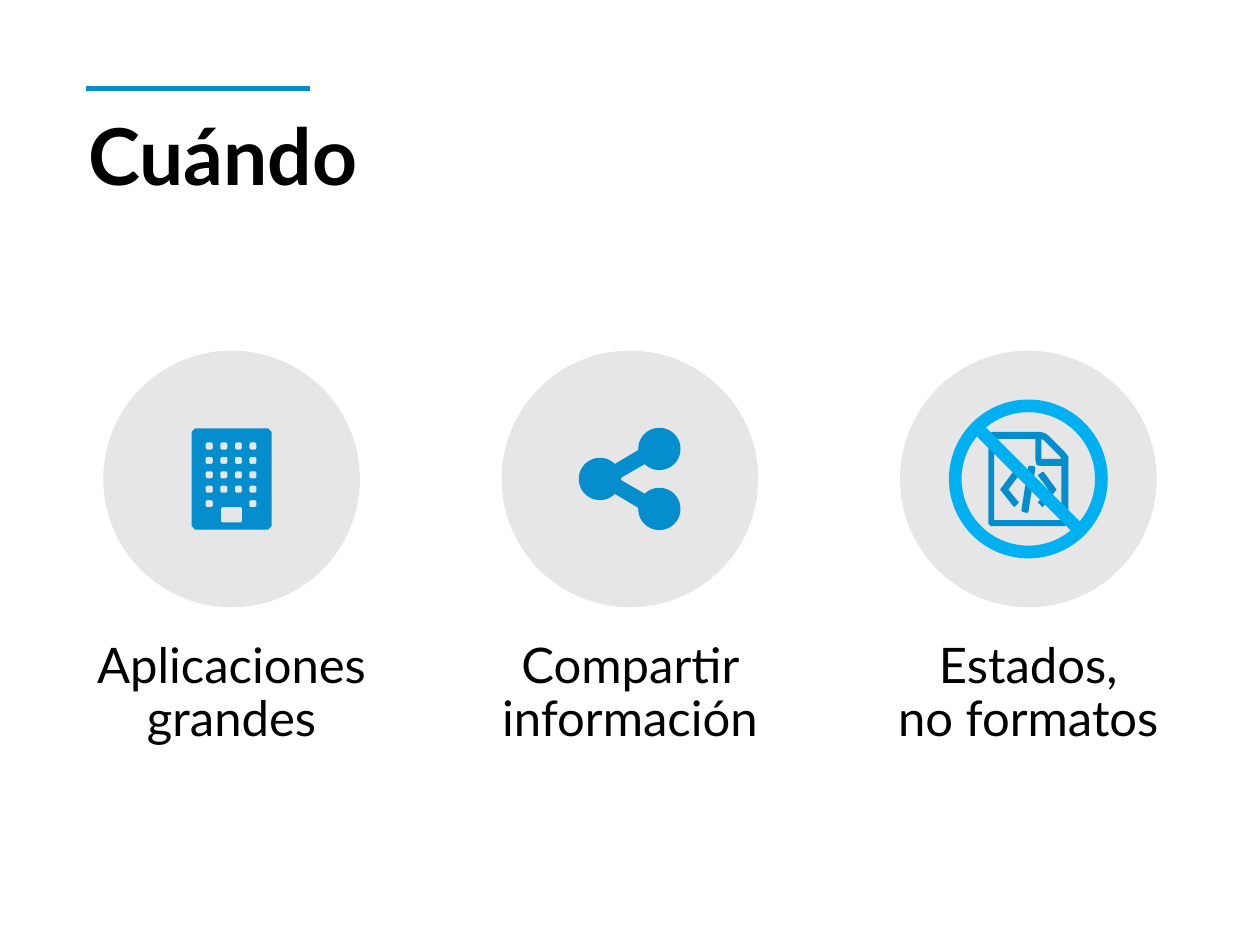
from math import cos, radians, sin

from pptx import Presentation
from pptx.dml.color import RGBColor
from pptx.enum.shapes import MSO_CONNECTOR, MSO_SHAPE
from pptx.enum.text import MSO_ANCHOR, PP_ALIGN
from pptx.oxml.ns import qn
from pptx.util import Cm, Pt

ELLIPSE, NO_SIGN = MSO_SHAPE.OVAL, MSO_SHAPE.NO_SYMBOL
STRAIGHT = MSO_CONNECTOR.STRAIGHT
LEFT, CENTER, TOP = PP_ALIGN.LEFT, PP_ALIGN.CENTER, MSO_ANCHOR.TOP

COLORS = {"blue": "058ECD", "sky": "00B0F0", "disc": "E7E6E6", "text": "000000"}
FONT = "Lato"

TITLE = "Cuándo"
TITLE_STYLE = {"size": Pt(48), "bold": True}
LABEL_STYLE = {"size": Pt(30), "bold": False}
# icon, label lines, label width in cm
REASONS = [
    ("building", ["Aplicaciones grandes"], 6.8),
    ("share", ["Compartir información"], 7.77),
    ("file", ["Estados,", "no formatos"], 6.8),
]

# Disc grid in cm
FIRST_X, PITCH, CENTER_Y = 5.0, 8.6, 10.34
DISC, SIGN = 5.54, 3.43
LABEL_TOP, LABEL_HEIGHT = 13.84, 2.79

# Icon outlines are in units of 1/40 cm or so, measured from the disc centre
ICON_UNIT = Cm(2.54) / 100
PRECISION = 100


def block(x, y, w, h, cut):
    """Rectangle with its corners cut off."""
    r, b = x + w, y + h
    return [(x + cut, y), (r - cut, y), (r, y + cut), (r, b - cut),
            (r - cut, b), (x + cut, b), (x, b - cut), (x, y + cut)]


def arc(cx, cy, radius, start, stop, steps=32):
    angles = [radians(start + (stop - start) * i / steps) for i in range(steps + 1)]
    return [(cx + radius * cos(a), cy + radius * sin(a)) for a in angles]


def flip_x(points):
    return [(-x, y) for x, y in points]


def building():
    windows = [block(-22 + 12.4 * col, -31 + 12.25 * row, 6, 6, 1)
               for row in range(5) for col in range(4)
               if row < 4 or col in (0, 3)]
    return [block(-34, -43, 68, 86, 3), *windows, block(-9, 24, 18, 13, 1)]


def share():
    """Three dots joined by two bars, as one closed outline."""
    upper = arc(25, -25.5, 18, 134, -183)
    hub = arc(-25.5, 0, 18, -45, -315)
    lower = [(x, -y) for x, y in reversed(upper)]
    return [upper + hub + lower + [(-7.5, 1), (-7.5, -1)]]


def file():
    page = [(-30, -40), (10, -40), (14, -39), (17, -37), (31, -23), (34, -19),
            (34, 36), (33, 39), (31, 40), (-32, 40), (-34, 38), (-34, -36),
            (-33, -39)]
    inside = [(6, -34), (6, -16), (7, -12), (10, -11), (28, -11), (28, 35),
              (-29, 35), (-29, -34)]
    fold = [(11, -34), (13, -33), (27, -19), (28, -17), (11, -17)]
    chevron = [(-12, -6), (-13, -6), (-24, 9), (-13, 23), (-12, 24), (-9, 21),
               (-8, 20), (-17, 9), (-8, -3), (-9, -4)]
    slash = [(1, -11), (0, -11), (-6, 27), (-5, 28), (-1, 29), (0, 28),
             (6, -9), (5, -11)]
    return [page, inside, fold, chevron, flip_x(chevron), slash]


ICONS = {"building": building, "share": share, "file": file}


def rgb(name):
    return RGBColor.from_string(COLORS[name])


def paint(shape, color):
    shape.shadow.inherit = False
    shape.fill.solid()
    shape.fill.fore_color.rgb = rgb(color)
    shape.line.fill.background()


def add_centered(s, kind, cx, size, color):
    shape = s.shapes.add_shape(kind, Cm(cx - size / 2), Cm(CENTER_Y - size / 2),
                               Cm(size), Cm(size))
    paint(shape, color)
    return shape


def add_icon(s, contours, cx):
    fine = [[(x * PRECISION, y * PRECISION) for x, y in c] for c in contours]
    builder = s.shapes.build_freeform(*fine[0][0], scale=ICON_UNIT / PRECISION)
    for i, points in enumerate(fine):
        if i:
            builder.move_to(*points[0])
        builder.add_line_segments(points[1:], close=True)
    paint(builder.convert_to_shape(Cm(cx), Cm(CENTER_Y)), "blue")


def add_text(s, lines, box, style, align):
    tf = s.shapes.add_textbox(*map(Cm, box)).text_frame
    frame = {"word_wrap": True, "vertical_anchor": TOP, "margin_left": 0,
             "margin_right": 0, "margin_top": 0, "margin_bottom": 0}
    for name, value in frame.items():
        setattr(tf, name, value)
    p = tf.paragraphs[0]
    p.alignment, p.line_spacing = align, 0.9
    for i, line in enumerate(lines):
        if i:
            p.add_line_break()
        r = p.add_run()
        r.text = line
        r.font.name = FONT
        r.font.color.rgb = rgb("text")
        for name, value in style.items():
            setattr(r.font, name, value)


def add_rule(s, x1, x2, y):
    rule = s.shapes.add_connector(STRAIGHT, Cm(x1), Cm(y), Cm(x2), Cm(y))
    rule.line.color.rgb = rgb("blue")
    rule.line.width = Pt(3)
    props = rule._element.spPr
    props.append(props.makeelement(qn("a:effectLst"), {}))


def main():
    prs = Presentation()
    prs.slide_width, prs.slide_height = Cm(27.2), Cm(20.4)
    s = prs.slides.add_slide(prs.slide_layouts[6])

    add_rule(s, 1.86, 6.7, 1.91)
    add_text(s, [TITLE], (1.91, 2.54, 23.39, 2.06), TITLE_STYLE, LEFT)
    for i, (icon, lines, width) in enumerate(REASONS):
        cx = FIRST_X + i * PITCH
        add_centered(s, ELLIPSE, cx, DISC, "disc")
        add_icon(s, ICONS[icon](), cx)
        box = (cx - width / 2, LABEL_TOP, width, LABEL_HEIGHT)
        add_text(s, lines, box, LABEL_STYLE, CENTER)
    sign = add_centered(s, NO_SIGN, cx, SIGN, "sky")
    sign.adjustments[0] = 0.08
    prs.save("out.pptx")


if __name__ == "__main__":
    main()
